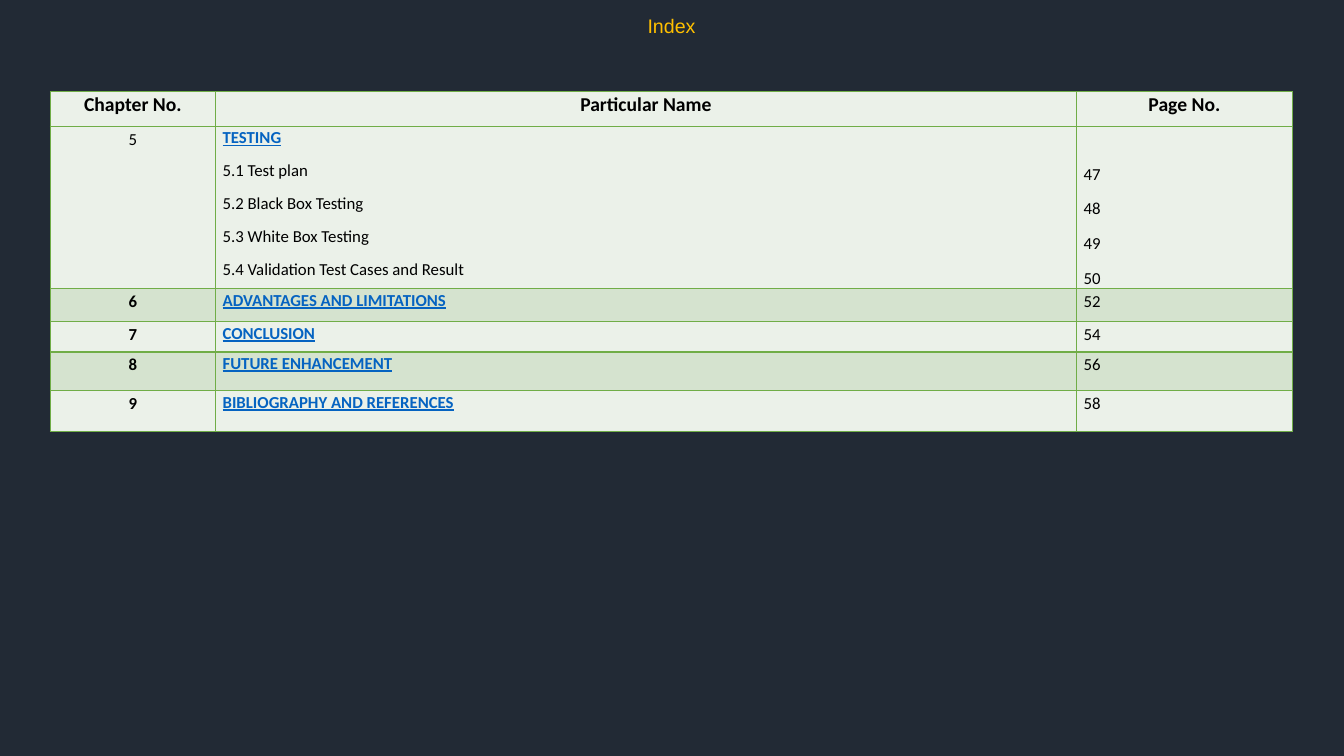
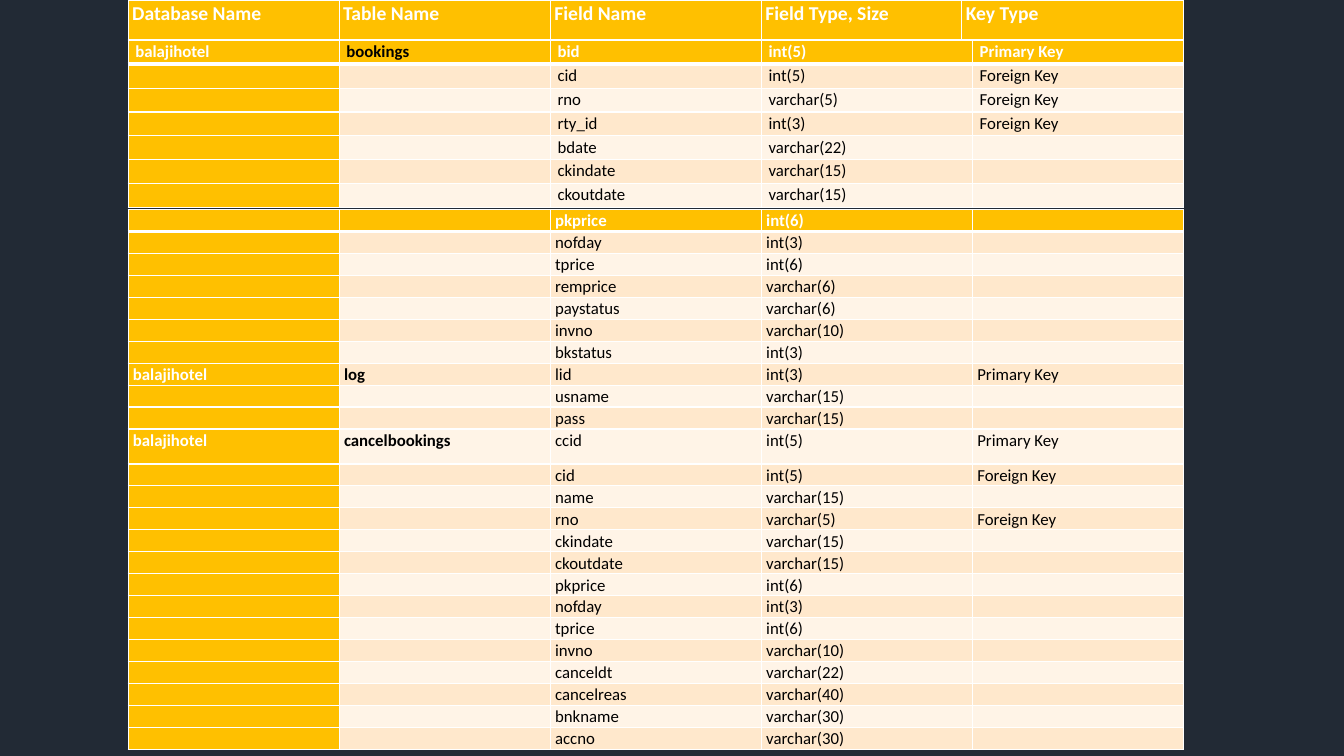
from dataclasses import dataclass

from lxml.etree import SubElement
from pptx import Presentation
from pptx.dml.color import RGBColor
from pptx.enum.text import MSO_ANCHOR, PP_ALIGN
from pptx.oxml.ns import qn
from pptx.util import Cm, Pt

LEFT, CENTER, JUSTIFY = PP_ALIGN.LEFT, PP_ALIGN.CENTER, PP_ALIGN.JUSTIFY
MIDDLE = MSO_ANCHOR.MIDDLE
TITLE_ONLY, BLANK = 5, 6


@dataclass(frozen=True)
class Theme:
    """Colours, fonts and type sizes of the deck."""
    background: str = "222A35"
    gold: str = "FFC000"
    gold_bands: tuple = ("FFF4E7", "FFE8CC")
    green: str = "70AD47"
    green_bands: tuple = ("EBF1E9", "D5E3CF")
    link: str = "0563C1"
    black: str = "000000"
    white: str = "FFFFFF"
    title_font: str = "Arial"
    body_font: str = "Calibri"
    heading: int = 14
    body: int = 12


THEME = Theme()

INDEX_HEADS = ("Chapter No.", "Particular Name", "Page No.")
CHAPTERS = (
    ("5", "TESTING", ("5.1 Test plan", "5.2 Black Box Testing", "5.3 White Box Testing",
                      "5.4 Validation Test Cases and Result"), ("47", "48", "49", "50")),
    ("6", "ADVANTAGES AND LIMITATIONS", (), ("52",)),
    ("7", "CONCLUSION", (), ("54",)),
    ("8", "FUTURE ENHANCEMENT", (), ("56",)),
    ("9", "BIBLIOGRAPHY AND REFERENCES", (), ("58",)),
)
INDEX_COLUMNS = (4.16, 21.7, 5.44)
CHAPTER_HEIGHTS = (4.06, 0.83, 0.76, 0.98, 1.03)

FIELD_HEADS = ("Database Name", "Table Name", "Field Name", "Field Type, Size", "Key Type")
HEAD_COLUMNS = (5.32, 5.32, 5.32, 5.05, 5.59)
FIELD_COLUMNS = (5.32,) * 5
DATABASE = "balajihotel"
BOOKING_FIELDS = (
    (DATABASE, "bookings", "bid", "int(5)", "Primary Key"),
    ("", "", "cid", "int(5)", "Foreign Key"),
    ("", "", "rno", "varchar(5)", "Foreign Key"),
    ("", "", "rty_id", "int(3)", "Foreign Key"),
    ("", "", "bdate", "varchar(22)", ""),
    ("", "", "ckindate", "varchar(15)", ""),
    ("", "", "ckoutdate", "varchar(15)", ""),
)
OTHER_FIELDS = (
    ("", "", "pkprice", "int(6)", ""),
    ("", "", "nofday", "int(3)", ""),
    ("", "", "tprice", "int(6)", ""),
    ("", "", "remprice", "varchar(6)", ""),
    ("", "", "paystatus", "varchar(6)", ""),
    ("", "", "invno", "varchar(10)", ""),
    ("", "", "bkstatus", "int(3)", ""),
    (DATABASE, "log", "lid", "int(3)", "Primary Key"),
    ("", "", "usname", "varchar(15)", ""),
    ("", "", "pass", "varchar(15)", ""),
    (DATABASE, "cancelbookings", "ccid", "int(5)", "Primary Key"),
    ("", "", "cid", "int(5)", "Foreign Key"),
    ("", "", "name", "varchar(15)", ""),
    ("", "", "rno", "varchar(5)", "Foreign Key"),
    ("", "", "ckindate", "varchar(15)", ""),
    ("", "", "ckoutdate", "varchar(15)", ""),
    ("", "", "pkprice", "int(6)", ""),
    ("", "", "nofday", "int(3)", ""),
    ("", "", "tprice", "int(6)", ""),
    ("", "", "invno", "varchar(10)", ""),
    ("", "", "canceldt", "varchar(22)", ""),
    ("", "", "cancelreas", "varchar(40)", ""),
    ("", "", "bnkname", "varchar(30)", ""),
    ("", "", "accno", "varchar(30)", ""),
)


def set_values(target, values):
    """Set attributes of an object from a dict."""
    for name, value in values.items():
        setattr(target, name, value)


def write_span(para, text, color, size=THEME.body, name=THEME.body_font, **style):
    """Add one formatted span to a paragraph."""
    span = para.add_run()
    span.text = text
    set_values(span.font, {"size": Pt(size), "name": name, **style})
    span.font.color.rgb = RGBColor.from_string(color)


def write_cell(cell, lines, align=LEFT, spacing=1.07):
    """Write (text, style) lines as the paragraphs of a cell."""
    frame = cell.text_frame
    for number, (text, style) in enumerate(lines):
        para = frame.add_paragraph() if number else frame.paragraphs[0]
        set_values(para, {"alignment": align, "line_spacing": spacing, "space_after": Pt(8)})
        if text:
            write_span(para, text, **style)
        else:
            SubElement(para._p, qn("a:endParaRPr"), sz=str(THEME.body * 100))


def paint_cell(cell, fill, border, bottom=1):
    """Give a cell its borders and fill."""
    properties = cell._tc.get_or_add_tcPr()
    for side, width in (("L", 1), ("R", 1), ("T", 1), ("B", bottom)):
        line = SubElement(properties, qn(f"a:ln{side}"), w=str(Pt(width)))
        solid = SubElement(line, qn("a:solidFill"))
        SubElement(solid, qn("a:srgbClr"), val=border)
    cell.fill.solid()
    cell.fill.fore_color.rgb = RGBColor.from_string(fill)


def add_grid(page, left, top, columns, heights, margin):
    """Add a plain table with the given column widths and row heights."""
    table = page.shapes.add_table(len(heights), len(columns), Cm(left), Cm(top),
                                  Cm(sum(columns)), Cm(sum(heights))).table
    set_values(table, {"first_row": False, "horz_banding": False})
    for column, width in zip(table.columns, columns):
        column.width = Cm(width)
    for row, height in zip(table.rows, heights):
        row.height = Cm(height)
    for cell in table.iter_cells():
        set_values(cell, {"margin_left": Cm(margin), "margin_right": Cm(margin),
                          "margin_top": 0, "margin_bottom": 0})
    return table


def add_heads(page, left, top, columns, height, margin, heads, color, fill, border,
              align=LEFT, bottom=1):
    """Add a one-row table of bold column heads."""
    table = add_grid(page, left, top, columns, (height,), margin)
    style = {"color": color, "size": THEME.heading, "bold": True}
    for cell, text in zip(table.iter_cells(), heads):
        paint_cell(cell, fill, border, bottom)
        write_cell(cell, [(text, style)], align)


def add_chapters(page, left, top):
    """Add the table of chapters, sections and page numbers."""
    table = add_grid(page, left, top, INDEX_COLUMNS, CHAPTER_HEIGHTS, 0.18)
    plain = {"color": THEME.black}
    link = {"color": THEME.link, "bold": True, "underline": True}
    for row, (number, name, sections, numbers) in enumerate(CHAPTERS):
        chapter, particular, pages = cells = [table.cell(row, column) for column in range(3)]
        for cell in cells:
            paint_cell(cell, THEME.green_bands[row % 2], THEME.green)
        write_cell(chapter, [(number, {**plain, "bold": not sections})], CENTER, 1.15)
        write_cell(particular, [(name, link)] + [(text, plain) for text in sections])
        write_cell(pages, [(text, plain) for text in numbers], JUSTIFY, 1.15)
        if sections:
            pages.margin_top = Cm(0.88)


def field_style(row, column):
    """Return the text style for a place in a field table."""
    white = column == 0 or (row == 0 and column != 1)
    return {"color": THEME.white if white else THEME.black, "bold": row == 0 or column < 2}


def add_fields(page, left, top, heights, margin, records):
    """Add a table of database fields with a gold first row and column."""
    table = add_grid(page, left, top, FIELD_COLUMNS, heights, margin)
    for row, record in enumerate(records):
        for column, text in enumerate(record):
            cell = table.cell(row, column)
            gold = row == 0 or column == 0
            paint_cell(cell, THEME.gold if gold else THEME.gold_bands[row % 2],
                       THEME.white, 1 if row else 3)
            write_cell(cell, [(text, field_style(row, column))])


def add_title(page, text):
    """Place and format the slide title."""
    title = page.shapes.title
    set_values(title, {"left": Cm(11.96), "top": Cm(0.33), "width": Cm(9.93), "height": Cm(0.71)})
    set_values(title.text_frame, {"vertical_anchor": MIDDLE, "word_wrap": True,
                                  "margin_top": 0, "margin_bottom": 0})
    para = title.text_frame.paragraphs[0]
    set_values(para, {"alignment": CENTER, "line_spacing": 0.9})
    write_span(para, text, THEME.gold, THEME.heading, THEME.title_font)


def build_index(deck):
    """Build the index slide."""
    page = deck.slides.add_slide(deck.slide_layouts[TITLE_ONLY])
    add_title(page, "Index")
    add_heads(page, 1.27, 2.31, INDEX_COLUMNS, 0.87, 0.12, INDEX_HEADS,
              THEME.black, THEME.green_bands[0], THEME.green, CENTER)
    add_chapters(page, 1.27, 3.18)


def build_database(deck):
    """Build the database fields slide."""
    page = deck.slides.add_slide(deck.slide_layouts[BLANK])
    add_heads(page, 3.23, 0, HEAD_COLUMNS, 1.02, 0.1, FIELD_HEADS,
              THEME.white, THEME.gold, THEME.white, bottom=3)
    add_fields(page, 3.23, 1.02, [0.6] * len(BOOKING_FIELDS), 0.18, BOOKING_FIELDS)
    heights = [0.88 if record[1] == "cancelbookings" else 0.46 for record in OTHER_FIELDS]
    add_fields(page, 3.23, 5.28, heights, 0.12, OTHER_FIELDS)


def main():
    """Build and save the deck."""
    deck = Presentation()
    set_values(deck, {"slide_width": Cm(33.87), "slide_height": Cm(19.05)})
    fill = deck.slide_master.background.fill
    fill.solid()
    fill.fore_color.rgb = RGBColor.from_string(THEME.background)
    build_index(deck)
    build_database(deck)
    deck.save("out.pptx")


if __name__ == "__main__":
    main()
